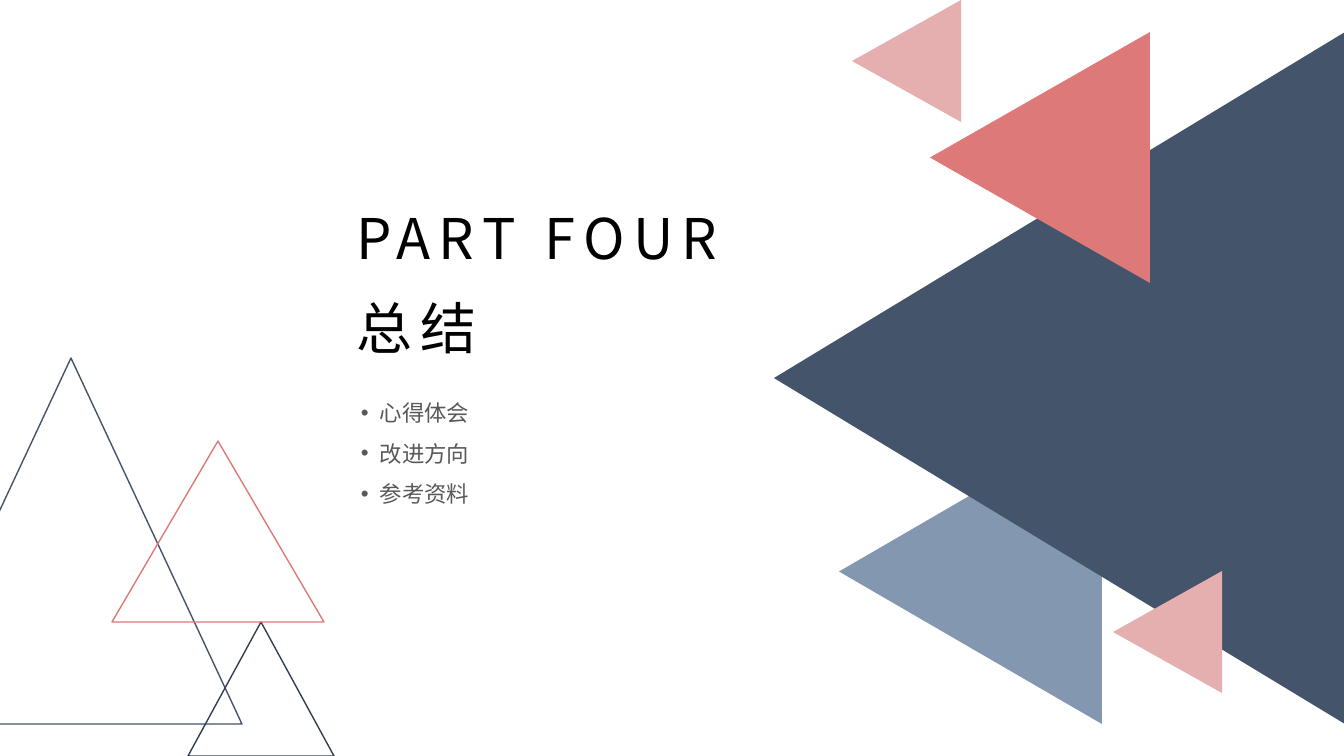
from lxml import etree
from pptx import Presentation
from pptx import util as u
from pptx.dml.color import RGBColor
from pptx.enum import shapes, text
from pptx.oxml.ns import qn

FONT = "Noto Sans CJK SC"
PX = 914400 / 100.8

# Visible boxes: left, top, width, height in px, then colour
LEFT_POINTING = [
    (839, 419, 263, 305, "8497B0"),
    (774, 32, 571, 692, "44546A"),
    (930, 32, 220, 251, "DD7979"),
    (852, 0, 109, 122, "E5AFAF"),
    (1113, 571, 109, 122, "E5AFAF"),
]
OUTLINED = [
    (-100, 358, 342, 366, "44546A"),
    (188, 622, 146, 134, "333F50"),
    (112, 441, 212, 181, "DD7979"),
]
TITLES = [("PART FOUR", 197), ("总结", 287)]
TITLE_LEFT, TITLE_WIDTH, TITLE_HEIGHT = 343, 460, 82
TOPICS = ["心得体会", "改进方向", "参考资料"]
TOPICS_BOX = (351, 381, 639, 128)
BULLET_INDENT = 19


def emu(px):
    return u.Emu(round(px * PX))


def rgb(color):
    return RGBColor.from_string(color)


def add_triangle(slide, x, y, w, h):
    sp = slide.shapes.add_shape(shapes.MSO_SHAPE.ISOSCELES_TRIANGLE,
                                *map(emu, (x, y, w, h)))
    sp.shadow.inherit = False
    return sp


def add_left_pointing(slide, x, y, w, h, color):
    """The shape is laid out upright about the same centre, then turned."""
    sp = add_triangle(slide, x + (w - h) / 2, y + (h - w) / 2, h, w)
    sp.rotation = 270
    sp.fill.solid()
    sp.fill.fore_color.rgb = rgb(color)
    sp.line.fill.background()


def add_outlined(slide, x, y, w, h, color):
    sp = add_triangle(slide, x, y, w, h)
    sp.fill.background()
    sp.line.color.rgb = rgb(color)
    sp.line.width = u.Pt(1)


def add_text(slide, box, lines, size, color, margins):
    tf = slide.shapes.add_textbox(*map(emu, box)).text_frame
    tf.word_wrap = True
    tf.auto_size = text.MSO_AUTO_SIZE.SHAPE_TO_FIT_TEXT
    tf.margin_left = tf.margin_right = emu(margins[0])
    tf.margin_top = tf.margin_bottom = emu(margins[1])
    tf.text = "\n".join(lines)
    for p in tf.paragraphs:
        for r in p.runs:
            r.font.size = u.Pt(size)
            r.font.color.rgb = rgb(color)
            r.font.name = FONT
            etree.SubElement(r.font._element, qn("a:ea"), typeface=FONT)
    return tf


def add_bullet(p):
    p.line_spacing = 1.5
    pPr = p._p.get_or_add_pPr()
    pPr.set("marL", str(emu(BULLET_INDENT)))
    pPr.set("indent", str(-emu(BULLET_INDENT)))
    etree.SubElement(pPr, qn("a:buFont"), typeface="Arial")
    etree.SubElement(pPr, qn("a:buChar"), char="•")


def main():
    prs = Presentation()
    prs.slide_width, prs.slide_height = emu(1344), emu(756)
    slide = prs.slides.add_slide(prs.slide_layouts[6])

    for triangle in LEFT_POINTING:
        add_left_pointing(slide, *triangle)
    for triangle in OUTLINED:
        add_outlined(slide, *triangle)

    for title, top in TITLES:
        box = (TITLE_LEFT, top, TITLE_WIDTH, TITLE_HEIGHT)
        tf = add_text(slide, box, [title], 40, "000000", (13, 7))
        tf.paragraphs[0].runs[0].font._element.set("spc", "600")

    tf = add_text(slide, TOPICS_BOX, TOPICS, 16, "595959", (10, 5))
    for p in tf.paragraphs:
        add_bullet(p)

    prs.save("out.pptx")


if __name__ == "__main__":
    main()
